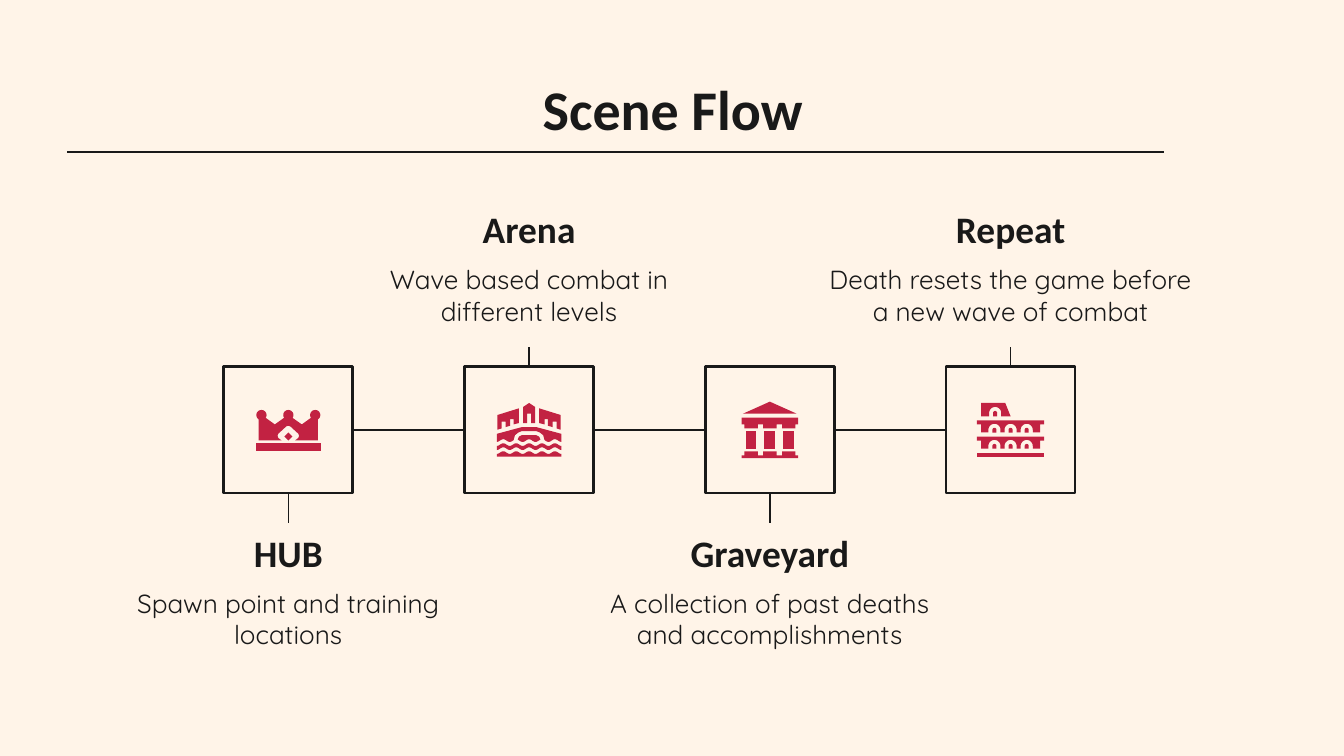
from dataclasses import dataclass
from math import cos, pi, sin

from lxml import etree
from pptx import Presentation
from pptx.dml.color import RGBColor
from pptx.enum.shapes import MSO_CONNECTOR, MSO_SHAPE
from pptx.enum.text import MSO_ANCHOR, MSO_AUTO_SIZE, PP_ALIGN
from pptx.oxml.ns import qn
from pptx.util import Cm, Pt

STRAIGHT = MSO_CONNECTOR.STRAIGHT
RECTANGLE = MSO_SHAPE.RECTANGLE
MIDDLE = MSO_ANCHOR.MIDDLE
CENTER = PP_ALIGN.CENTER
NO_AUTOFIT = MSO_AUTO_SIZE.NONE


@dataclass(frozen=True)
class Theme:
    """Colours, fonts and sizes of the deck."""

    paper: RGBColor = RGBColor(0xFF, 0xF4, 0xE8)
    ink: RGBColor = RGBColor(0x19, 0x19, 0x19)
    accent: RGBColor = RGBColor(0xC2, 0x22, 0x42)
    heading_font: str = "Calibri"
    body_font: str = "Quicksand"
    title_size: Pt = Pt(30)
    heading_size: Pt = Pt(20)
    body_size: Pt = Pt(14)
    thin: Pt = Pt(0.75)
    thick: Pt = Pt(1.5)


THEME = Theme()
GRID_UNIT = Cm(1.27) / 50
GRID_DETAIL = 100


def mirror(half):
    """Complete an outline that is symmetric about the vertical axis."""
    return half + [(-x, y) for x, y in reversed(half)]


def block(left, top, right, bottom):
    """Return the corners of a rectangle."""
    return [(left, top), (right, top), (right, bottom), (left, bottom)]


def arc(x, y, radius, turn=pi):
    """Return points clockwise from the left end of an arc."""
    angles = [turn * step / 24 for step in range(25)]
    return [(x - radius * cos(a), y - radius * sin(a)) for a in angles]


def arch(x, crown, base, radius):
    """Return a round-topped opening from left foot to right foot."""
    return [(x - radius, base), *arc(x, crown + radius, radius), (x + radius, base)]


def ripple(level, left, right):
    """Return a wavy edge between two positions."""
    spots = [left + (right - left) * step / 60 for step in range(61)]
    return [(x, level - cos(2 * pi * x / 9.6)) for x in spots]


def crown_icon():
    """Return the outlines of a crown."""
    body = mirror([(0, -3), (-1.5, -2.5), (-7.5, 3), (-8, 4.5), (-7.5, 6), (-5, 8),
                   (-22, 8), (-22, -9), (-17, -9), (-10, -4), (-3, -9)])
    gem = [(0, 2), (-3, 5), (0, 8), (3, 5)]
    balls = [arc(x, -11, 3.8, 2 * pi) for x in (-20, 0, 20)]
    return [body, gem, block(-24, 10, 24, 16), *balls]


def bridge_icon():
    """Return the outlines of a bridge over water."""
    rail = [(-7.5, -16), (-23.5, -11), (-23.5, 0), (-20.5, -1), (-20.5, -6),
            (-17.5, -6), (-17.5, -2), (-14, -3), (-14, -8), (-11.5, -8),
            (-11.5, -4), (-7.5, -5)]
    tower = mirror([(0, -20), (-4.5, -17), (-4.5, -5), (-1.5, -5), (-1.5, -12)])
    deck = mirror([(-5.5, -2), (-24, 3), *ripple(8, -24, -11.5),
                   (-10.5, 4), (-8, 2), (-5.5, 1)])
    pond = [(-5.5, 4), (-7.5, 5), *ripple(8, -8.5, 8.5), (7.5, 5), (5.5, 4)]
    wave = ripple(11, -24, 24) + ripple(14, 24, -24)
    water = ripple(17, -24, 24) + [(24, 20), (-24, 20)]
    return [rail, [(-x, y) for x, y in rail], tower, deck, pond, wave, water]


def temple_icon():
    """Return the outlines of a columned temple."""
    beam = mirror([(-21, -9), (-21, -4), (-19, -4), (-19, -1),
                   (-9, -1), (-9, -4), (-5, -4), (-5, -1)])
    steps = mirror([(-21, 21), (-21, 19), (-19, 19), (-19, 16),
                    (-9, 16), (-9, 19), (-5, 19), (-5, 16)])
    columns = [block(x - 4, 1, x + 4, 14) for x in (-14, 0, 14)]
    return [[(0, -21), (-20, -12), (20, -12)], beam, steps, *columns]


def arena_icon():
    """Return the outlines of a ruined amphitheatre."""
    outlines = [block(-25, 17, 25, 20),
                [(-22, -20), (-22, -10), *arch(-11.5, -17, -10, 4.5), (0, -10), (-4, -20)],
                arch(-11.5, -14, -10, 1.5)]
    for top in (-7, 5):
        openings = [spot for x in (-12, 0, 12) for spot in arch(x, top + 2.5, top + 9, 4.5)]
        outlines.append([(-25, top), (-25, top + 3), (-22, top + 3), (-22, top + 9),
                         *openings, (22, top + 9), (22, top + 3), (25, top + 3), (25, top)])
        outlines += [arch(x, top + 5.5, top + 9, 1.5) for x in (-12, 0, 12)]
    return outlines


SCENES = [
    ("HUB", "Spawn point and training locations", Cm(6.4), crown_icon),
    ("Arena", "Wave based combat in different levels", Cm(6.4), bridge_icon),
    ("Graveyard", "A collection of past deaths and accomplishments", Cm(6.83), temple_icon),
    ("Repeat", "Death resets the game before a new wave of combat", Cm(7.59), arena_icon),
]


def write(box, text, font, size, bold):
    """Fill a text box with one centred paragraph."""
    frame = box.text_frame
    frame.text = text
    frame.word_wrap = True
    frame.auto_size = NO_AUTOFIT
    frame.vertical_anchor = MIDDLE
    frame.margin_left = frame.margin_right = Cm(0.25)
    frame.margin_top = frame.margin_bottom = Cm(0.25)
    para = frame.paragraphs[0]
    para.alignment = CENTER
    span = para.runs[0]
    span.font.name = font
    span.font.size = size
    span.font.bold = bold
    span.font.color.rgb = THEME.ink


def draw_line(page, x1, y1, x2, y2):
    """Draw a thin straight line."""
    line = page.shapes.add_connector(STRAIGHT, x1, y1, x2, y2)
    line.line.color.rgb = THEME.ink
    line.line.width = THEME.thin
    etree.SubElement(line._element.spPr, qn("a:effectLst"))


def place_title(page, left, top, width, height):
    """Place the title in its box and rule a line at its foot."""
    title = page.shapes.title
    title.left, title.top, title.width, title.height = left, top, width, height
    write(title, "Scene Flow", THEME.heading_font, THEME.title_size, True)
    draw_line(page, Cm(1.27), Cm(2.87), Cm(22), Cm(2.87))


def place_icon(page, outlines, x, y):
    """Draw a group of filled outlines around a centre."""
    group = page.shapes.add_group_shape()
    for outline in outlines:
        spots = [(px * GRID_DETAIL, py * GRID_DETAIL) for px, py in outline]
        builder = group.shapes.build_freeform(*spots[0], scale=GRID_UNIT / GRID_DETAIL)
        builder.add_line_segments(spots[1:], close=True)
        part = builder.convert_to_shape(x, y)
        part.shadow.inherit = False
        part.fill.solid()
        part.fill.fore_color.rgb = THEME.accent
        part.line.fill.background()


def place_caption(page, heading, body, body_width, x, top):
    """Stack a heading and a description centred on x."""
    width, height = Cm(6.4), Cm(1.14)
    box = page.shapes.add_textbox(x - width // 2, top, width, height)
    write(box, heading, THEME.heading_font, THEME.heading_size, True)
    box = page.shapes.add_textbox(x - body_width // 2, top + height, body_width, Cm(1.35))
    write(box, body, THEME.body_font, THEME.body_size, False)


def place_flow(page, left, top, width, height):
    """Place the linked scene tiles with captions alternating below and above."""
    side = Cm(2.44)
    pitch = (width - side) // (len(SCENES) - 1)
    middle, bottom = top + height // 2, top + height
    for index, (heading, body, body_width, icon) in enumerate(SCENES):
        x = left + index * pitch
        center = x + side // 2
        tile = page.shapes.add_shape(RECTANGLE, x, top, side, height)
        tile.shadow.inherit = False
        tile.fill.background()
        tile.line.color.rgb = THEME.ink
        tile.line.width = THEME.thick
        if index:
            draw_line(page, x - pitch + side, middle, x, middle)
        if index % 2:
            draw_line(page, center, top, center, top - Cm(0.38))
            caption_top = top - Cm(3.17)
        else:
            caption_top = bottom + Cm(0.56)
            draw_line(page, center, bottom, center, caption_top)
        place_caption(page, heading, body, body_width, center, caption_top)
        place_icon(page, icon(), center, middle)


def main():
    """Build the deck and save it."""
    deck = Presentation()
    deck.slide_width, deck.slide_height = Cm(25.4), Cm(14.29)
    page = deck.slides.add_slide(deck.slide_layouts[5])
    page.background.fill.solid()
    page.background.fill.fore_color.rgb = THEME.paper
    place_title(page, Cm(2.01), Cm(1.24), Cm(21.41), Cm(1.6))
    place_flow(page, Cm(4.23), Cm(6.93), Cm(16.09), Cm(2.39))
    deck.save("out.pptx")


if __name__ == "__main__":
    main()
